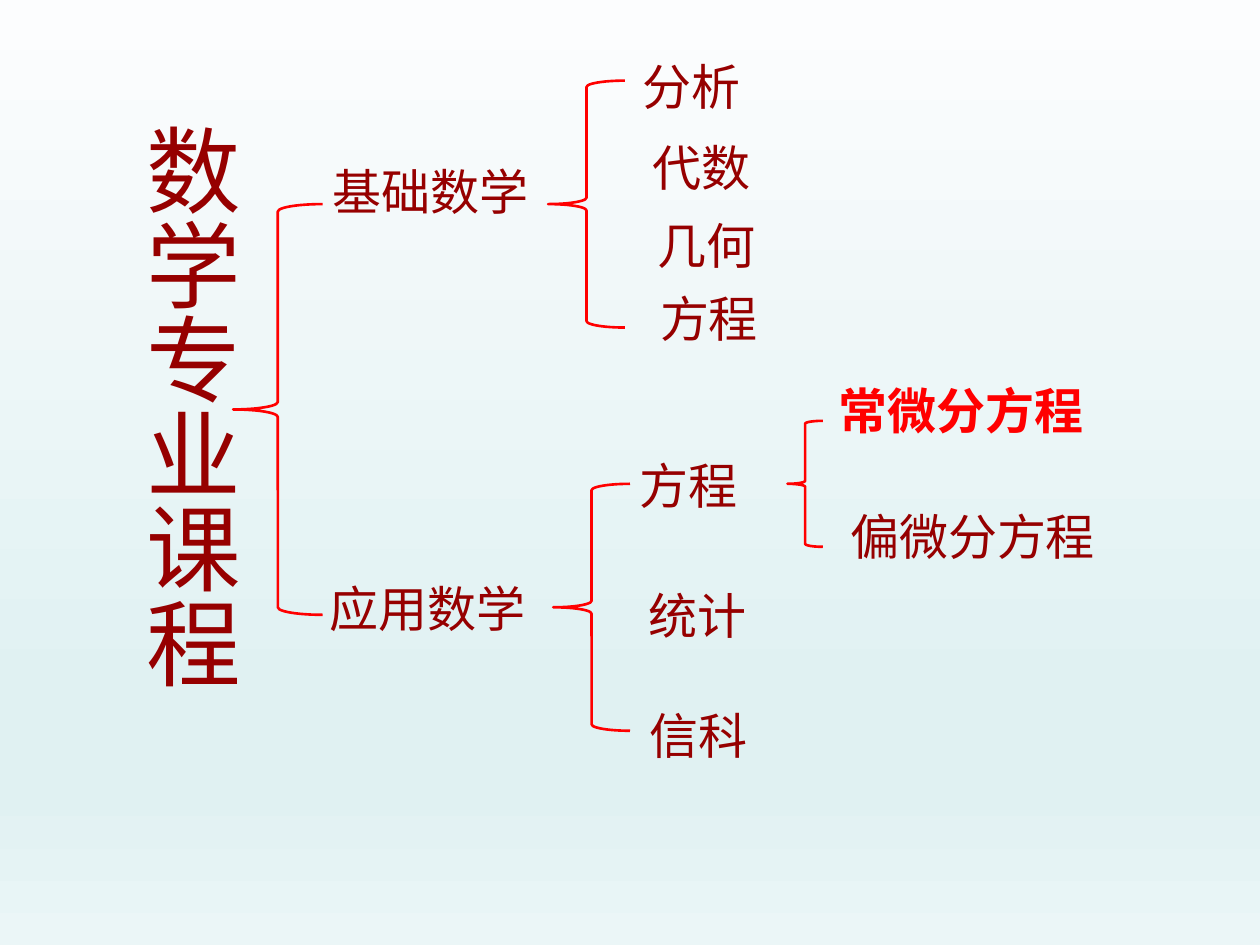
from lxml.etree import SubElement as Sub
from pptx import Presentation
from pptx.dml.color import RGBColor as Rgb
from pptx.enum.shapes import MSO_SHAPE as Shape
from pptx.enum.text import MSO_ANCHOR as Anchor, MSO_AUTO_SIZE as Auto, PP_ALIGN as Align
from pptx.oxml.ns import qn
from pptx.util import Pt

PX = 9144  # EMU per px, 100 px to the inch
FACE = "Noto Sans CJK SC"
HUE = {"text": "960000", "mark": "FF0000",
       "top": "FCFDFE", "mid": "E0F1F2", "end": "EBF6F7"}
STOPS = [(0, "top"), (74, "mid"), (83, "mid"), (100, "end")]

# Topics: text, left, top, width
TOPICS = [
    ("基础数学", 254, 123, 177), ("应用数学", 252, 454, 177),
    ("分析", 500, 40, 99), ("代数", 508, 104, 99),
    ("几何", 512, 166, 99), ("方程", 514, 224, 99),
    ("方程", 498, 357, 99), ("统计", 505, 460, 99), ("信科", 506, 555, 99),
    ("偏微分方程", 665, 397, 217),
]
FOCUS = ("常微分方程", 656, 297, 216)
ROW = 57  # height of a topic

# Braces: left, top, width, height
BRACES = [(185, 162, 71, 326), (435, 64, 61, 196),
          (439, 384, 61, 196), (625, 334, 28, 100)]


def emu(*vals):
    return [v * PX for v in vals]


def put(obj, vals):
    for key, val in vals.items():
        setattr(obj, key, val)


def paint(slide):
    """Fill the background with a top-down gradient."""
    fill = slide.background.fill
    fill.gradient()
    fill.gradient_angle = 270
    stops = slide.element.find(".//" + qn("a:gsLst"))
    for old in list(stops):
        stops.remove(old)
    for pos, hue in STOPS:
        stop = Sub(stops, qn("a:gs"), pos=str(pos * 1000))
        Sub(stop, qn("a:srgbClr"), val=HUE[hue])


def write(box, text, size, hue="text", bold=False):
    """Set one line of text in a box that fits its content."""
    frame = box.text_frame
    put(frame, {"word_wrap": False, "auto_size": Auto.SHAPE_TO_FIT_TEXT,
                "vertical_anchor": Anchor.TOP})
    para = frame.paragraphs[0]
    para.alignment = Align.LEFT
    run = para.add_run()
    run.text = text
    put(run.font, {"name": FACE, "size": Pt(size), "bold": bold})
    run.font.color.rgb = Rgb.from_string(HUE[hue])
    Sub(run.font._element, qn("a:ea"), typeface=FACE)


def head(slide, text):
    """Stand the title upright at the left."""
    box = slide.shapes.title
    put(box, dict(zip(("left", "top", "width", "height"),
                      emu(95, 93, 111, 465))))
    write(box, text, 54)
    box.text_frame._txBody.bodyPr.set("vert", "eaVert")


def topic(slide, text, left, top, width, **look):
    box = slide.shapes.add_textbox(*emu(left, top, width, ROW))
    write(box, text, 28, **look)


def brace(slide, *area):
    mark = slide.shapes.add_shape(Shape.LEFT_BRACE, *emu(*area))
    mark.shadow.inherit = False
    mark.fill.background()
    mark.line.width = Pt(1.5)
    mark.line.color.rgb = Rgb.from_string(HUE["mark"])


def main():
    deck = Presentation()
    put(deck, {"slide_width": 1000 * PX, "slide_height": 750 * PX})
    slide = deck.slides.add_slide(deck.slide_layouts[5])
    paint(slide)
    head(slide, "数学专业课程")
    # Tree of subjects
    for area in BRACES:
        brace(slide, *area)
    for item in TOPICS:
        topic(slide, *item)
    topic(slide, *FOCUS, hue="mark", bold=True)
    deck.save("out.pptx")


if __name__ == "__main__":
    main()
